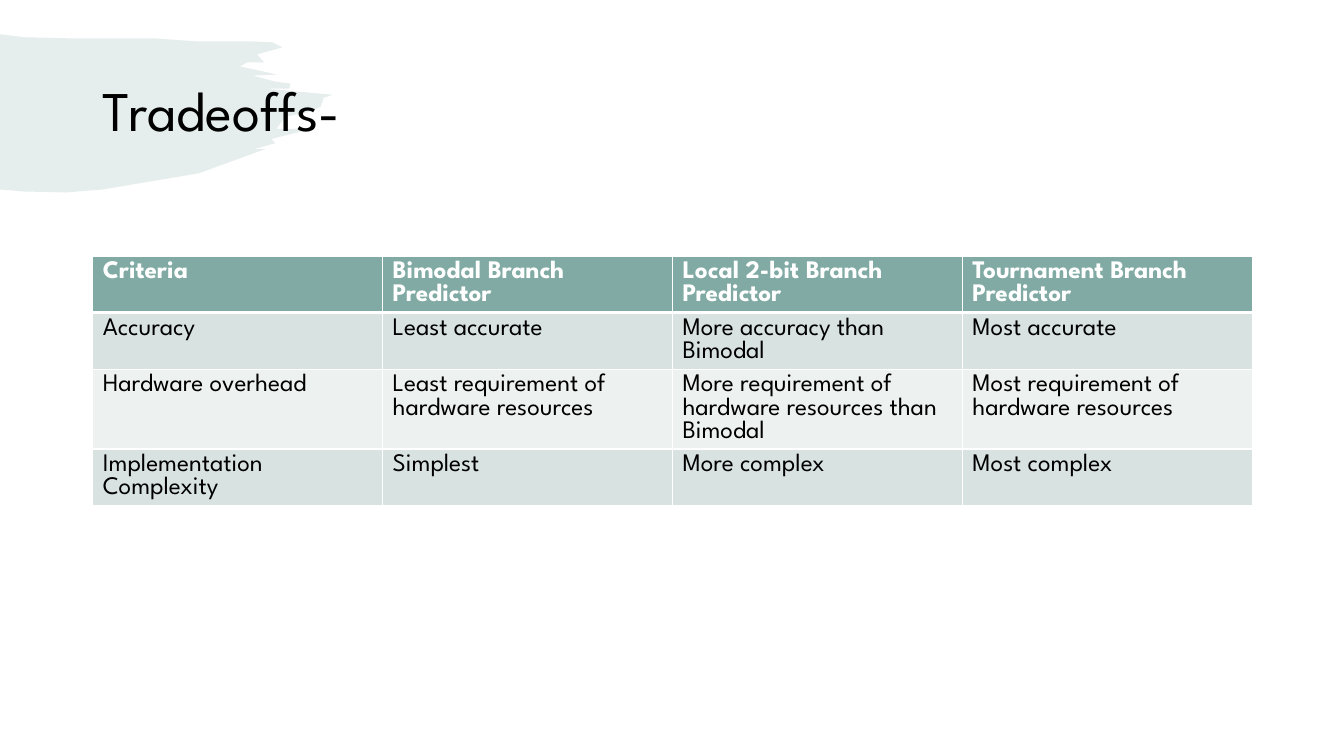
from lxml import etree
from pptx import Presentation
from pptx.dml.color import RGBColor
from pptx.enum.text import MSO_ANCHOR, MSO_AUTO_SIZE, PP_ALIGN
from pptx.oxml.ns import qn
from pptx.util import Pt

TITLE = "Tradeoffs-"
ROWS = [
    ("Criteria", "Bimodal Branch Predictor", "Local 2-bit Branch Predictor",
     "Tournament Branch Predictor"),
    ("Accuracy", "Least accurate", "More accuracy than Bimodal", "Most accurate"),
    ("Hardware overhead", "Least requirement of hardware resources",
     "More requirement of hardware resources than Bimodal",
     "Most requirement of hardware resources"),
    ("Implementation Complexity", "Simplest", "More complex", "Most complex"),
]
BRUSH = [
    (0, 34), (25, 37), (66, 38), (151, 38), (194, 41), (248, 41), (270, 42),
    (280, 47), (255, 54), (262, 62), (245, 62), (238, 66), (275, 74),
    (251, 75), (273, 81), (288, 83), (287, 88), (263, 88), (330, 94),
    (321, 97), (318, 106), (307, 111), (283, 116), (274, 128), (308, 128),
    (269, 138), (273, 142), (252, 148), (263, 148), (197, 172), (102, 188),
    (65, 191), (23, 190), (0, 188),
]

PX = 9144
SLIDE_W, SLIDE_H = 1333, 750
LEFT, CONTENT_W = 92, 1150
TITLE_TOP, TITLE_H = 40, 145
TABLE_TOP, ROW_H = 254, 41
FONT = "League Spartan"
TEAL = RGBColor(0x80, 0xAA, 0xA3)
BAND_DARK = RGBColor(0xD8, 0xE2, 0xE0)
BAND_LIGHT = RGBColor(0xED, 0xF1, 0xF0)
WHITE = RGBColor(0xFF, 0xFF, 0xFF)
BLACK = RGBColor(0, 0, 0)
LEFT_ALIGN = PP_ALIGN.LEFT
MIDDLE = MSO_ANCHOR.MIDDLE
NO_AUTOFIT = MSO_AUTO_SIZE.NONE


def add_run(p, text, size, color, bold=False):
    r = p.add_run()
    r.text = text
    r.font.name = FONT
    r.font.size = Pt(size)
    r.font.bold = bold
    r.font.color.rgb = color


def add_brush(s):
    builder = s.shapes.build_freeform(*BRUSH[0], scale=PX)
    builder.add_line_segments(BRUSH[1:], close=True)
    brush = builder.convert_to_shape()
    brush.shadow.inherit = False
    brush.fill.solid()
    brush.fill.fore_color.rgb = TEAL
    brush.line.fill.background()
    color = brush.element.spPr.find(qn("a:solidFill"))[0]
    etree.SubElement(color, qn("a:alpha"), val="20000")


def add_title(s):
    title = s.shapes.title
    title.left, title.top = LEFT * PX, TITLE_TOP * PX
    title.width, title.height = CONTENT_W * PX, TITLE_H * PX
    tf = title.text_frame
    tf.vertical_anchor = MIDDLE
    tf.auto_size = NO_AUTOFIT
    p = tf.paragraphs[0]
    p.alignment = LEFT_ALIGN
    p.line_spacing = 0.9
    add_run(p, TITLE, 40, BLACK)
    s.shapes.element.append(title.element)


def set_borders(cell, top, bottom):
    tc_pr = cell._tc.get_or_add_tcPr()
    for side, width in (("L", 1), ("R", 1), ("T", top), ("B", bottom)):
        ln = etree.SubElement(tc_pr, qn(f"a:ln{side}"), w=str(Pt(width)))
        fill = etree.SubElement(ln, qn("a:solidFill"))
        etree.SubElement(fill, qn("a:srgbClr"), val=str(WHITE))


def add_criteria_table(s):
    table = s.shapes.add_table(
        len(ROWS), len(ROWS[0]), LEFT * PX, TABLE_TOP * PX,
        CONTENT_W * PX, ROW_H * len(ROWS) * PX).table
    for i, row in enumerate(ROWS):
        header = i == 0
        band = TEAL if header else BAND_DARK if i % 2 else BAND_LIGHT
        for j, text in enumerate(row):
            cell = table.cell(i, j)
            set_borders(cell, 3 if i == 1 else 1, 3 if header else 1)
            cell.fill.solid()
            cell.fill.fore_color.rgb = band
            add_run(cell.text_frame.paragraphs[0], text, 18,
                    WHITE if header else BLACK, header)


def main():
    prs = Presentation()
    prs.slide_width, prs.slide_height = SLIDE_W * PX, SLIDE_H * PX
    s = prs.slides.add_slide(prs.slide_layouts[5])
    add_brush(s)
    add_title(s)
    add_criteria_table(s)
    prs.save("out.pptx")


if __name__ == "__main__":
    main()
